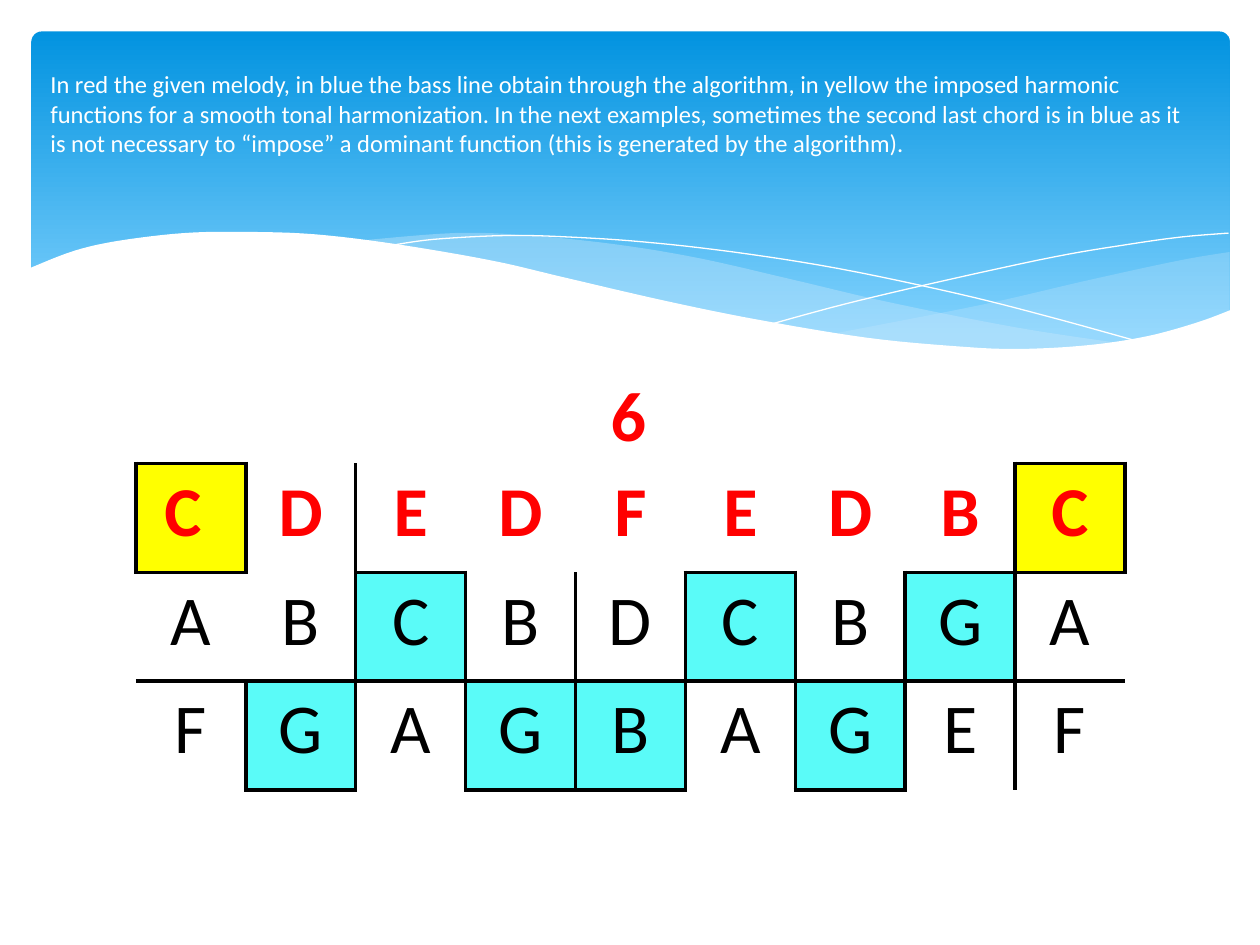
"""Build a slide showing a harmonized melody table under a wavy blue header."""
import dataclasses
import typing

import lxml.etree
import pptx
import pptx.dml.color
import pptx.enum.dml
import pptx.enum.shapes
import pptx.enum.text
import pptx.oxml.ns
import pptx.util

Pt = pptx.util.Pt
qn = pptx.oxml.ns.qn
Points = list[tuple[float, float]]
COLORS = {
    "sky": "0293E0", "pale": "83D3FE", "haze": "C6E7FC", "white": "FFFFFF",
    "black": "000000", "melody": "FF0000", "imposed": "FFFF00", "bass": "5AFBF8",
}
CAPTION = (
    "In red the given melody, in blue the bass line obtain through the algorithm, "
    "in yellow the imposed harmonic functions for a smooth tonal harmonization. "
    "In the next examples, sometimes the second last chord is in blue as it is not "
    "necessary to \u201cimpose\u201d a dominant function (this is generated by the algorithm). "
)


@dataclasses.dataclass
class Wave:
    curves: list[Points]
    corners: Points = dataclasses.field(default_factory=list)
    fill: typing.Optional[str] = None
    alpha: int = 100


@dataclasses.dataclass
class Voice:
    notes: list[str]
    marked: set[int]
    mark: str
    divider: int
    color: str = "black"
    bold: bool = False


WAVES = [
    Wave([[(702.7, 144), (673.2, 149), (619.9, 160.6), (560.9, 174.2), (475.9, 190.8)],
          [(475.9, 190.8), (517.7, 195.8), (562.3, 199.4), (593.3, 199.6),
           (634.3, 196.6), (673.2, 188.6), (702.7, 177.8)]], fill="haze", alpha=29),
    Wave([[(643, 196.6), (581, 187.2), (508.3, 172.8), (452.9, 159.8), (399.6, 147.6),
           (352.1, 139.7), (302.4, 134.6), (259.9, 133.2), (205.9, 137.5)],
          [(205.9, 137.5), (260.6, 146.2), (323.3, 159.8), (381.6, 172.8), (445, 185.8),
           (500.4, 194.4), (547.9, 199.4), (589, 200.2), (643, 196.6)]],
         fill="haze", alpha=40),
    Wave([[(222.5, 140.4), (247.7, 136.8), (288.7, 134.6), (324, 135.4), (367.2, 138.2),
           (419, 144), (478.8, 153.4), (547.2, 167.8), (598.3, 180.7), (653, 195.8)]]),
    Wave([[(441.4, 185), (483.8, 173.5), (538.6, 160.6), (601.9, 146.9),
           (644.4, 139.7), (675.4, 135.4), (702, 133.2)]]),
    Wave([[(16.6, 153.4), (42.5, 143.3), (68.4, 137.5), (105.1, 133.2), (139, 132.5),
           (180, 133.9), (227.5, 139.7), (281.5, 149), (321.8, 158.4), (380.9, 172.1),
           (434.2, 182.9), (495.4, 193), (547.9, 198), (582.5, 199.4), (621.4, 197.3),
           (655.2, 192.2), (684, 184.3), (703.4, 177.1)]],
         corners=[(703.4, 236.9), (16.6, 236.9)], fill="white"),
]
VOICES = [
    Voice(["C ", *"DEDFEDBC"], {0, 8}, "imposed", 2, "melody", True),
    Voice([*"ABCBDCBGA"], {2, 5, 7}, "bass", 4),
    Voice([*"FGAGBAGEF"], {1, 3, 4, 6}, "bass", 8),
]


def rgb(name: str) -> pptx.dml.color.RGBColor:
    return pptx.dml.color.RGBColor.from_string(COLORS[name])


def smooth(knots: Points, steps: int = 6) -> Points:
    padded = [knots[0], *knots, knots[-1]]
    points = [knots[0]]
    for a, b, c, d in zip(padded, padded[1:], padded[2:], padded[3:]):
        for i in range(1, steps + 1):
            t = i / steps
            x, y = (
                (2 * q + (r - p) * t + (2 * p - 5 * q + 4 * r - s) * t ** 2
                 + (3 * q - p - 3 * r + s) * t ** 3) / 2
                for p, q, r, s in zip(a, b, c, d)
            )
            points.append((x, y))
    return points


def draw_wave(shapes, wave: Wave) -> None:
    points = [p for curve in wave.curves for p in smooth(curve)] + wave.corners
    vertices = [(Pt(x), Pt(y)) for x, y in points]
    builder = shapes.build_freeform(*vertices[0])
    builder.add_line_segments(vertices[1:], close=wave.fill is not None)
    sp = builder.convert_to_shape()
    sp.shadow.inherit = False
    if wave.fill is None:
        sp.fill.background()
        sp.line.color.rgb = rgb("white")
        sp.line.width = Pt(0)
        return
    sp.line.fill.background()
    sp.fill.solid()
    sp.fill.fore_color.rgb = rgb(wave.fill)
    if wave.alpha < 100:
        clr = next(sp.element.spPr.iter(qn("a:srgbClr")))
        lxml.etree.SubElement(clr, qn("a:alpha"), val=str(wave.alpha * 1000))


def is_marked(row: int, col: int) -> bool:
    return 0 <= row < len(VOICES) and col in VOICES[row].marked


def set_borders(cell, row: int, col: int) -> None:
    divider = VOICES[row].divider
    here = is_marked(row, col)
    edges = {
        "L": here or is_marked(row, col - 1) or col == divider,
        "R": here or is_marked(row, col + 1) or col + 1 == divider,
        "T": here or is_marked(row - 1, col) or row == 2,
        "B": here or is_marked(row + 1, col) or row == 1,
    }
    tcPr = cell._tc.get_or_add_tcPr()
    for side, shown in edges.items():
        ln = lxml.etree.SubElement(tcPr, qn(f"a:ln{side}"), w=str(Pt(2.25)))
        fill = lxml.etree.SubElement(ln, qn("a:solidFill" if shown else "a:noFill"))
        if shown:
            lxml.etree.SubElement(fill, qn("a:srgbClr"), val=COLORS["black"])


def set_text(tf, text: str, size: float, color: str, bold: bool, align: str) -> None:
    p = tf.paragraphs[0]
    p.text = text
    p.alignment = pptx.enum.text.PP_ALIGN[align]
    p.font.name = "Calibri"
    p.font.size = Pt(size)
    p.font.bold = bold
    p.font.color.rgb = rgb(color)


def draw_table(shapes) -> None:
    cols = len(VOICES[0].notes)
    frame = shapes.add_table(len(VOICES), cols, Pt(77.7), Pt(264.8), Pt(565.2), Pt(186.6))
    table = frame.table
    table.first_row = table.horz_banding = False
    for row, voice in enumerate(VOICES):
        for col, note in enumerate(voice.notes):
            cell = table.cell(row, col)
            set_text(cell.text_frame, note, 40, voice.color, voice.bold, "CENTER")
            set_borders(cell, row, col)
            if col in voice.marked:
                cell.fill.solid()
                cell.fill.fore_color.rgb = rgb(voice.mark)
            else:
                cell.fill.background()


def draw_header(shapes) -> None:
    sp = shapes.add_shape(pptx.enum.shapes.MSO_SHAPE.ROUNDED_RECTANGLE,
                          Pt(18), Pt(18), Pt(684.7), Pt(194.4))
    sp.adjustments[0] = 0.03
    sp.shadow.inherit = False
    sp.line.fill.background()
    sp.fill.gradient()
    sp.fill.gradient_angle = 270
    for stop, color, position in zip(sp.fill.gradient_stops, ("sky", "pale"), (0, 0.9)):
        stop.color.rgb = rgb(color)
        stop.position = position
    for wave in WAVES:
        draw_wave(shapes, wave)


def main() -> None:
    prs = pptx.Presentation()
    prs.slide_width, prs.slide_height = Pt(720), Pt(540)
    s = prs.slides.add_slide(prs.slide_layouts[5])
    draw_header(s.shapes)
    draw_table(s.shapes)
    tb = s.shapes.add_textbox(Pt(337), Pt(208.8), Pt(44), Pt(55.5))
    tb.text_frame.word_wrap = True
    set_text(tb.text_frame, "6", 40, "melody", True, "CENTER")
    title = s.shapes.title
    title.left, title.top, title.width, title.height = Pt(21.6), Pt(36), Pt(669.6), Pt(58.3)
    title.text_frame.vertical_anchor = pptx.enum.text.MSO_ANCHOR.TOP
    title.text_frame.auto_size = pptx.enum.text.MSO_AUTO_SIZE.NONE
    set_text(title.text_frame, CAPTION, 14, "white", False, "LEFT")
    s.shapes.element.append(title.element)
    prs.save("out.pptx")


main()
